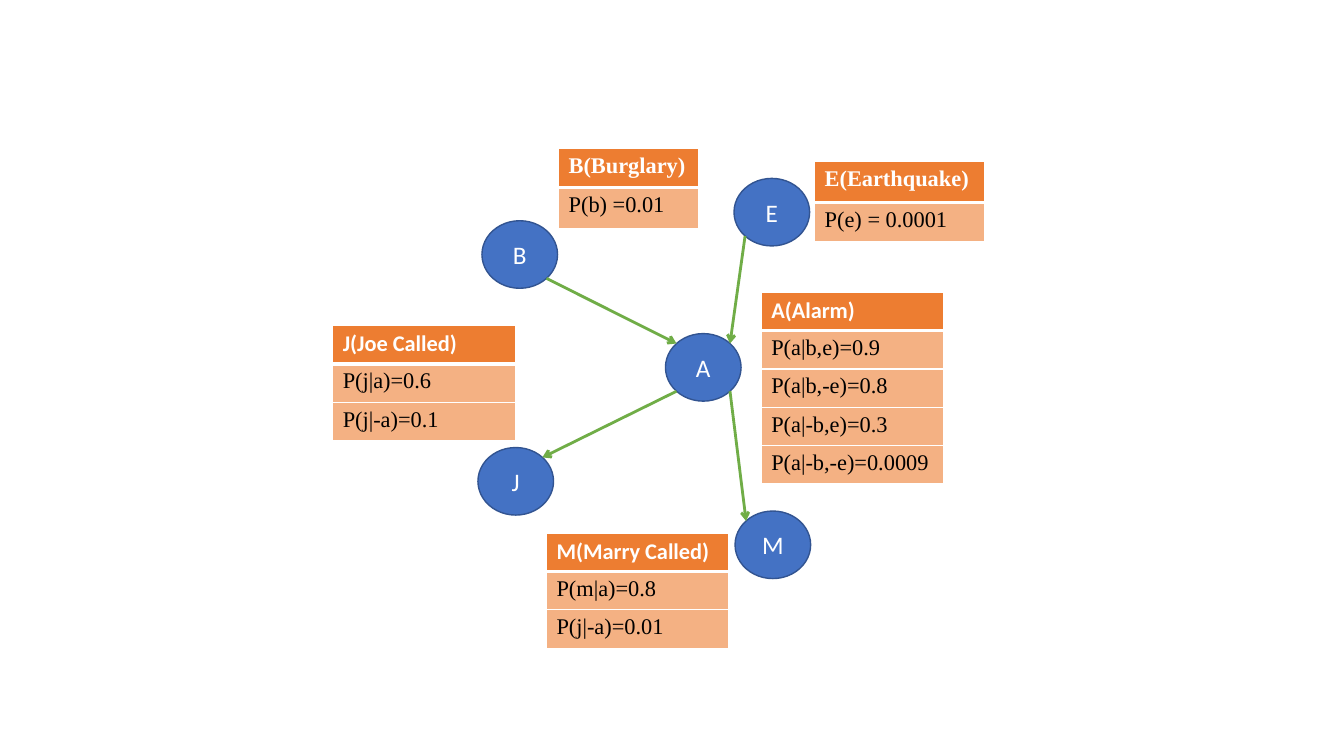
"""Build a slide of the burglary alarm Bayesian network with its probability tables."""
import math

import lxml.etree
import pptx
import pptx.dml.color
import pptx.enum.shapes
import pptx.enum.text
import pptx.oxml.ns
import pptx.util

Inches = pptx.util.Inches
Pt = pptx.util.Pt
qn = pptx.oxml.ns.qn


def rgb(value):
    return pptx.dml.color.RGBColor.from_string(value)


def style_cell(cell, text, font, color, fill, bold, widths):
    cell.text = text
    f = cell.text_frame.paragraphs[0].runs[0].font
    f.name, f.size, f.bold = font, Pt(16), bold
    f.color.rgb = rgb(color)
    tcPr = cell._tc.get_or_add_tcPr()
    for side, width in widths.items():
        ln = lxml.etree.SubElement(tcPr, qn("a:ln" + side), w=str(Pt(width)))
        solid = lxml.etree.SubElement(ln, qn("a:solidFill"))
        lxml.etree.SubElement(solid, qn("a:srgbClr"), val="FFFFFF")
    cell.fill.solid()
    cell.fill.fore_color.rgb = rgb(fill)


prs = pptx.Presentation()
prs.slide_width, prs.slide_height = Inches(13.33), Inches(7.5)
s = prs.slides.add_slide(prs.slide_layouts[6])

node_w, node_h = 0.75, 0.67
nodes = {"A": (6.6, 3.31), "J": (4.74, 4.44), "M": (7.29, 5.07),
         "B": (4.78, 2.19), "E": (7.28, 1.77)}
for name, (x, y) in nodes.items():
    sp = s.shapes.add_shape(pptx.enum.shapes.MSO_SHAPE.OVAL,
                            Inches(x), Inches(y), Inches(node_w), Inches(node_h))
    sp.shadow.inherit = False
    sp.fill.solid()
    sp.fill.fore_color.rgb = rgb("4472C4")
    sp.line.color.rgb = rgb("325491")
    sp.line.width = Pt(1)
    tf = sp.text_frame
    tf.text = name
    tf.vertical_anchor = pptx.enum.text.MSO_ANCHOR.MIDDLE
    p = tf.paragraphs[0]
    p.alignment = pptx.enum.text.PP_ALIGN.CENTER
    r = p.runs[0]
    r.font.name, r.font.size = "Calibri", Pt(18)
    r.font.color.rgb = rgb("FFFFFF")

# Each end is a node and the angle on its rim, clockwise from the right.
edges = [("A", 45, "M", 225), ("A", 135, "J", 315),
         ("B", 45, "A", 225), ("E", 135, "A", 315)]
for start, start_angle, end, end_angle in edges:
    points = []
    for name, angle in ((start, start_angle), (end, end_angle)):
        x, y = nodes[name]
        a = math.radians(angle)
        points += [Inches(x + node_w / 2 * (1 + math.cos(a))),
                   Inches(y + node_h / 2 * (1 + math.sin(a)))]
    c = s.shapes.add_connector(pptx.enum.shapes.MSO_CONNECTOR.STRAIGHT, *points)
    c.line.color.rgb = rgb("70AD47")
    c.line.width = Pt(2)
    lxml.etree.SubElement(c.line._get_or_add_ln(), qn("a:tailEnd"), type="arrow")
    lxml.etree.SubElement(c._element.spPr, qn("a:effectLst"))

tables = [
    (5.54, 1.47, 1.39, [0.39, 0.41], "Times New Roman",
     ["B(Burglary)", "P(b) =0.01"]),
    (8.08, 1.6, 1.69, [0.41, 0.39], "Times New Roman",
     ["E(Earthquake)", "P(e) = 0.0001"]),
    (7.55, 2.9, 1.81, [0.38] * 5, "Calibri",
     ["A(Alarm)", "P(a|b,e)=0.9", "P(a|b,-e)=0.8", "P(a|-b,e)=0.3", "P(a|-b,-e)=0.0009"]),
    (3.3, 3.23, 1.81, [0.38] * 3, "Calibri",
     ["J(Joe Called)", "P(j|a)=0.6", "P(j|-a)=0.1"]),
    (5.42, 5.29, 1.81, [0.38] * 3, "Calibri",
     ["M(Marry Called)", "P(m|a)=0.8", "P(j|-a)=0.01"]),
]
for x, y, width, heights, head_font, texts in tables:
    table = s.shapes.add_table(len(texts), 1, Inches(x), Inches(y),
                               Inches(width), Inches(sum(heights))).table
    for i, (height, text) in enumerate(zip(heights, texts)):
        table.rows[i].height = Inches(height)
        cell = table.cell(i, 0)
        if i == 0:
            style_cell(cell, text, head_font, "FFFFFF", "ED7D31", True,
                       {"L": 1, "R": 1, "T": 1, "B": 3})
        else:
            style_cell(cell, text, "Times New Roman", "000000", "F4B183", False,
                       {"L": 1, "R": 1, "T": 3 if i == 1 else 1, "B": 1})

prs.save("out.pptx")
